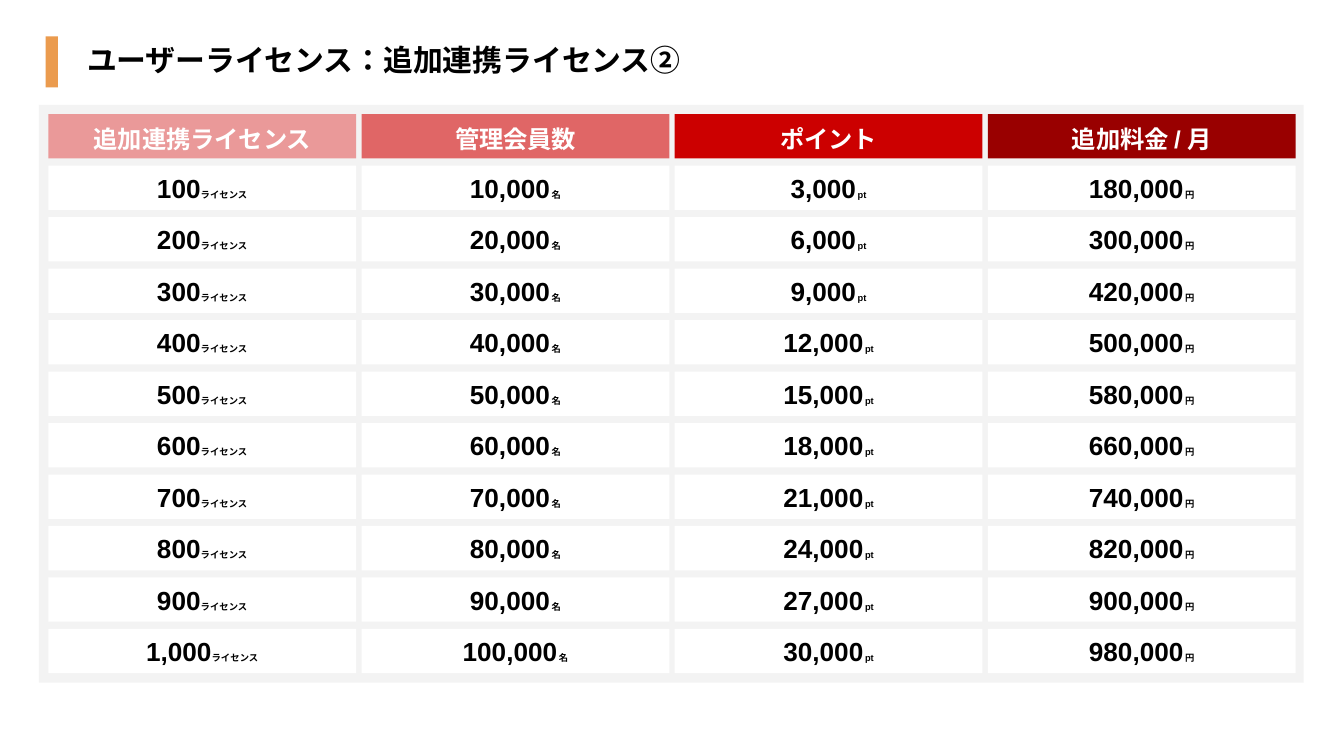
"""Build the price list slide for additional linked user licences."""
from dataclasses import dataclass

from pptx import Presentation
from pptx.dml.color import RGBColor
from pptx.enum.lang import MSO_LANGUAGE_ID as Language
from pptx.enum.shapes import MSO_SHAPE as Shape
from pptx.enum.text import MSO_ANCHOR as Anchor, PP_ALIGN as Align
from pptx.util import Inches, Pt

TITLE = "ユーザーライセンス：追加連携ライセンス②"
COLUMNS = [
    ("追加連携ライセンス", "EA9999", "ライセンス", False),
    ("管理会員数", "E06666", "名", True),
    ("ポイント", "CC0000", "pt", True),
    ("追加料金 / 月", "990000", "円", True),
]
PRICES = [
    (100, 10000, 3000, 180000),
    (200, 20000, 6000, 300000),
    (300, 30000, 9000, 420000),
    (400, 40000, 12000, 500000),
    (500, 50000, 15000, 580000),
    (600, 60000, 18000, 660000),
    (700, 70000, 21000, 740000),
    (800, 80000, 24000, 820000),
    (900, 90000, 27000, 900000),
    (1000, 100000, 30000, 980000),
]

SLIDE_WIDTH = 10
SLIDE_HEIGHT = SLIDE_WIDTH * 9 / 16
GRID_LEFT, GRID_TOP, LAST_TOP = 0.36, 0.85, 4.68
CELL_WIDTH, CELL_HEIGHT, COLUMN_GAP = 2.29, 0.33, 0.04
COLUMN_STEP = CELL_WIDTH + COLUMN_GAP
ROW_STEP = (LAST_TOP - GRID_TOP) / len(PRICES)


@dataclass(frozen=True)
class Theme:
    font: str = "Arial"
    text: str = "000000"
    white: str = "FFFFFF"
    panel: str = "F3F3F3"
    accent: str = "EB9B4E"
    title_size: int = 16
    header_size: int = 13
    number_size: int = 14
    unit_size: int = 5
    space_size: int = 3


THEME = Theme()


def add_rectangle(slide, left, top, width, height, color):
    shape = slide.shapes.add_shape(
        Shape.RECTANGLE, Inches(left), Inches(top), Inches(width), Inches(height)
    )
    shape.shadow.inherit = False
    shape.fill.solid()
    shape.fill.fore_color.rgb = RGBColor.from_string(color)
    shape.line.fill.background()
    return shape


def write_text(shape, runs, color, alignment, line_spacing):
    frame = shape.text_frame
    frame.word_wrap = True
    frame.vertical_anchor = Anchor.MIDDLE
    frame.margin_left = frame.margin_right = Inches(0.1)
    frame.margin_top = frame.margin_bottom = Inches(0.1)
    paragraph = frame.paragraphs[0]
    paragraph.alignment = alignment
    paragraph.line_spacing = line_spacing
    paragraph.font.name = THEME.font
    paragraph.font.bold = True
    paragraph.font.color.rgb = RGBColor.from_string(color)
    for text, size in runs:
        run = paragraph.add_run()
        run.text = text
        run.font.size = Pt(size)
        run.font.language_id = Language.JAPANESE


def add_cell(slide, row, column, fill, runs, color, line_spacing):
    left = GRID_LEFT + column * COLUMN_STEP
    top = GRID_TOP + row * ROW_STEP
    cell = add_rectangle(slide, left, top, CELL_WIDTH, CELL_HEIGHT, fill)
    write_text(cell, runs, color, Align.CENTER, line_spacing)


def price_runs(value, unit, spaced):
    runs = [(f"{value:,}", THEME.number_size)]
    if spaced:
        runs.append((" ", THEME.space_size))
    return runs + [(unit, THEME.unit_size)]


def main():
    presentation = Presentation()
    presentation.slide_width = Inches(SLIDE_WIDTH)
    presentation.slide_height = Inches(SLIDE_HEIGHT)
    slide = presentation.slides.add_slide(presentation.slide_layouts[6])

    add_rectangle(slide, 0.29, 0.78, 9.41, 4.3, THEME.panel)
    title = slide.shapes.add_textbox(
        Inches(0.55), Inches(0.2), Inches(7.76), Inches(0.52)
    )
    write_text(title, [(TITLE, THEME.title_size)], THEME.text, Align.LEFT, 0.9)
    add_rectangle(slide, 0.34, 0.27, 0.09, 0.38, THEME.accent)

    for column, (heading, fill, unit, spaced) in enumerate(COLUMNS):
        heading_runs = [(heading, THEME.header_size)]
        add_cell(slide, 0, column, fill, heading_runs, THEME.white, 1.15)
        for row, prices in enumerate(PRICES, start=1):
            runs = price_runs(prices[column], unit, spaced)
            add_cell(slide, row, column, THEME.white, runs, THEME.text, 1.0)

    presentation.save("out.pptx")


if __name__ == "__main__":
    main()
